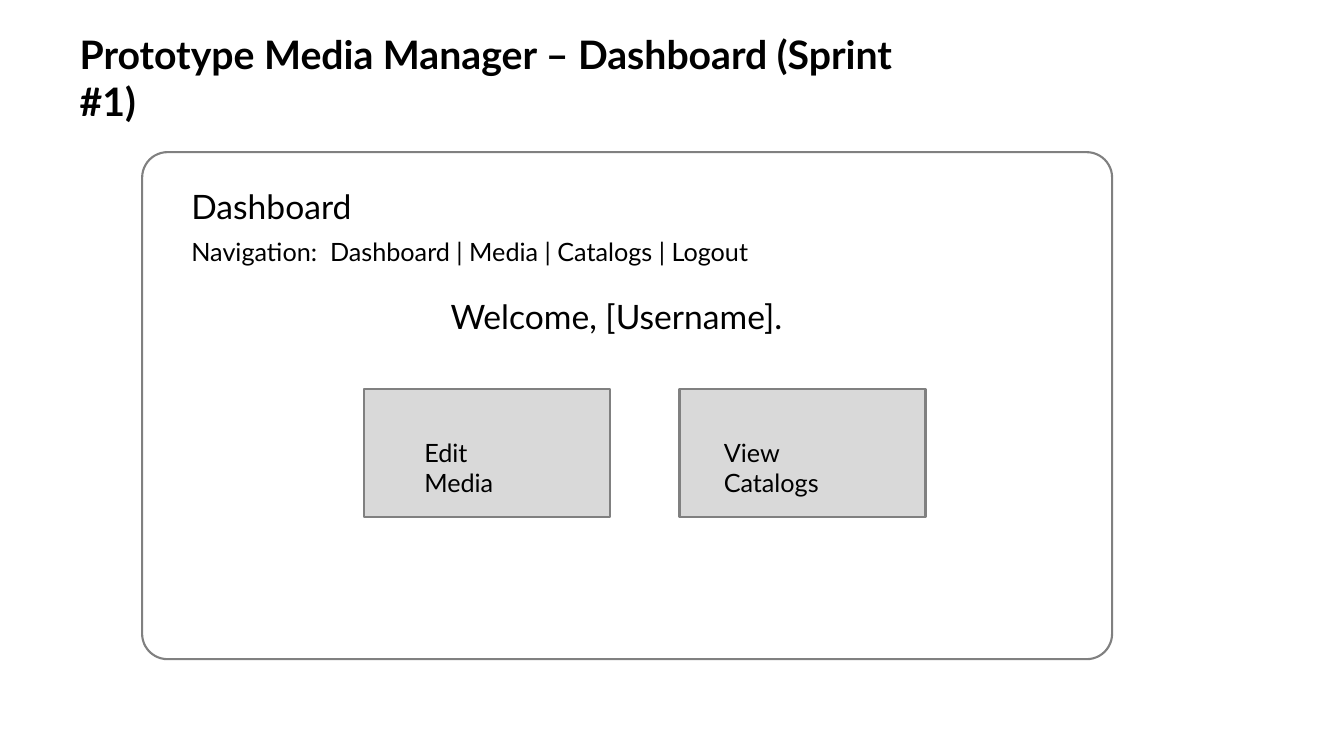
from dataclasses import dataclass

from pptx import Presentation
from pptx.dml.color import RGBColor
from pptx.enum import shapes, text
from pptx.util import Inches, Pt


@dataclass(frozen=True)
class Theme:
    font: str = "Lato"
    ink: RGBColor = RGBColor(0x00, 0x00, 0x00)
    panel: RGBColor = RGBColor(0xFF, 0xFF, 0xFF)
    button: RGBColor = RGBColor(0xD9, 0xD9, 0xD9)
    outline: RGBColor = RGBColor(0x80, 0x80, 0x80)
    title_size: Pt = Pt(28)
    heading_size: Pt = Pt(24)
    body_size: Pt = Pt(18)
    outline_width: Pt = Pt(1.5)


theme = Theme()
presentation = Presentation()
presentation.slide_width = Inches(13.33)
presentation.slide_height = Inches(7.5)
slide = presentation.slides.add_slide(presentation.slide_layouts[5])


def write(shape, wording, size, bold=False):
    """Fill a shape with one left-aligned paragraph that starts at its top."""
    frame = shape.text_frame
    frame.text = wording
    frame.word_wrap = True
    frame.auto_size = text.MSO_AUTO_SIZE.NONE
    frame.vertical_anchor = text.MSO_ANCHOR.TOP
    paragraph = frame.paragraphs[0]
    paragraph.alignment = text.PP_ALIGN.LEFT
    paragraph.font.name = theme.font
    paragraph.font.size = size
    paragraph.font.bold = bold
    paragraph.font.color.rgb = theme.ink


def add_box(kind, left, top, width, height, fill):
    """Add an outlined shape without shadow, measured in inches."""
    box = slide.shapes.add_shape(
        kind, Inches(left), Inches(top), Inches(width), Inches(height))
    box.shadow.inherit = False
    box.fill.solid()
    box.fill.fore_color.rgb = fill
    box.line.color.rgb = theme.outline
    box.line.width = theme.outline_width
    return box


# Title
title = slide.shapes.title
title.left, title.top = Inches(0.69), Inches(0.25)
title.width, title.height = Inches(8.8), Inches(1.04)
write(title, "Prototype Media Manager – Dashboard (Sprint #1)",
      theme.title_size, bold=True)

# Dashboard window and its two buttons
window = add_box(shapes.MSO_SHAPE.ROUNDED_RECTANGLE,
                 1.41, 1.51, 9.62, 5.03, theme.panel)
window.adjustments[0] = 0.05
for button_left in (3.61, 6.74):
    add_box(shapes.MSO_SHAPE.RECTANGLE,
            button_left, 3.86, 2.44, 1.27, theme.button)

# Wording in the window: left, top, width, height, size
labels = {
    "Dashboard": (1.8, 1.8, 2, 0.5, theme.heading_size),
    "Navigation:  Dashboard | Media | Catalogs | Logout":
        (1.8, 2.3, 6, 0.4, theme.body_size),
    "Welcome, [Username].": (4.37, 2.89, 3.8, 0.5, theme.heading_size),
    "Edit Media": (4.11, 4.29, 1.25, 0.7, theme.body_size),
    "View Catalogs": (7.08, 4.29, 1.65, 0.7, theme.body_size),
}
for wording, (left, top, width, height, size) in labels.items():
    label = slide.shapes.add_textbox(
        Inches(left), Inches(top), Inches(width), Inches(height))
    write(label, wording, size)

presentation.save("out.pptx")
